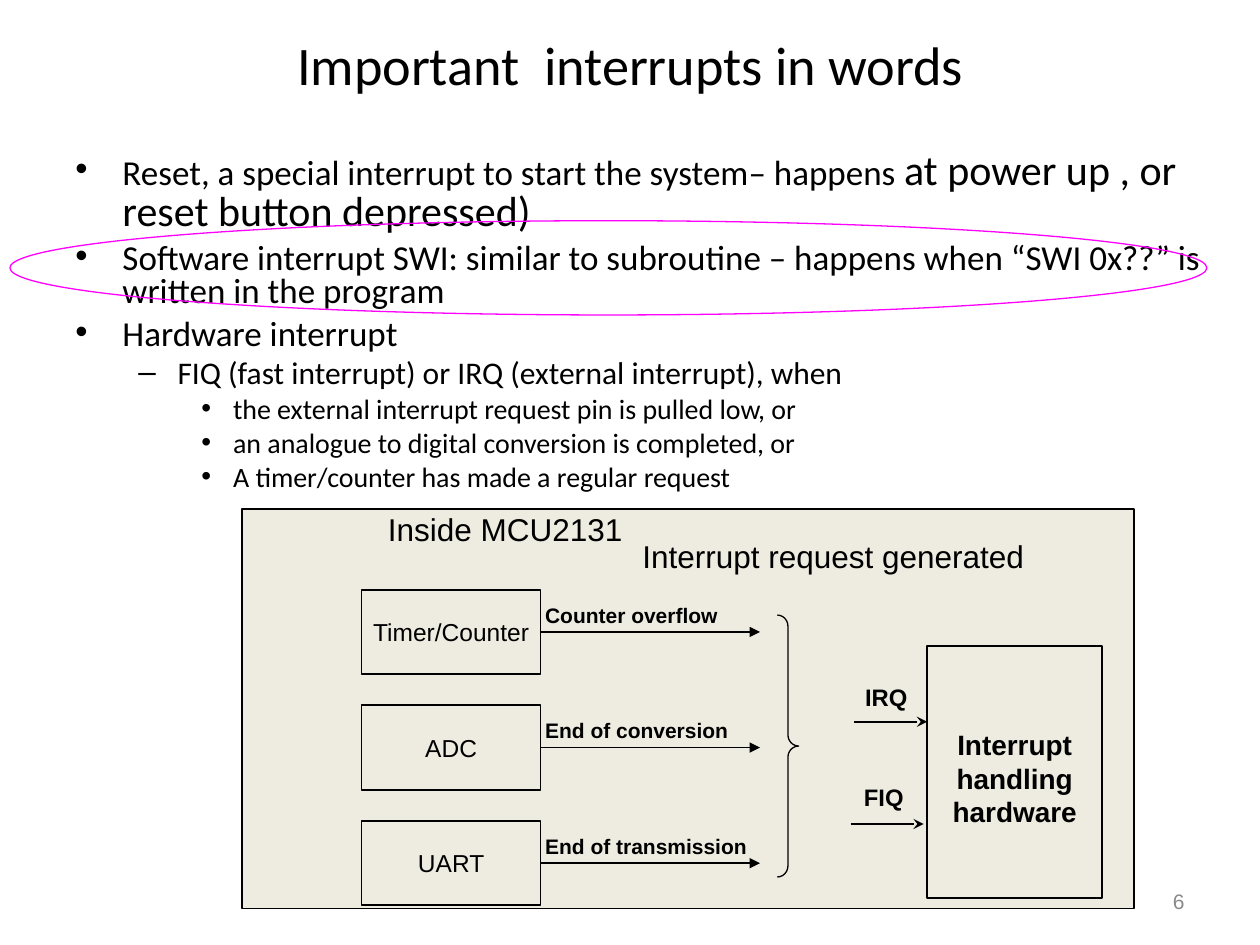
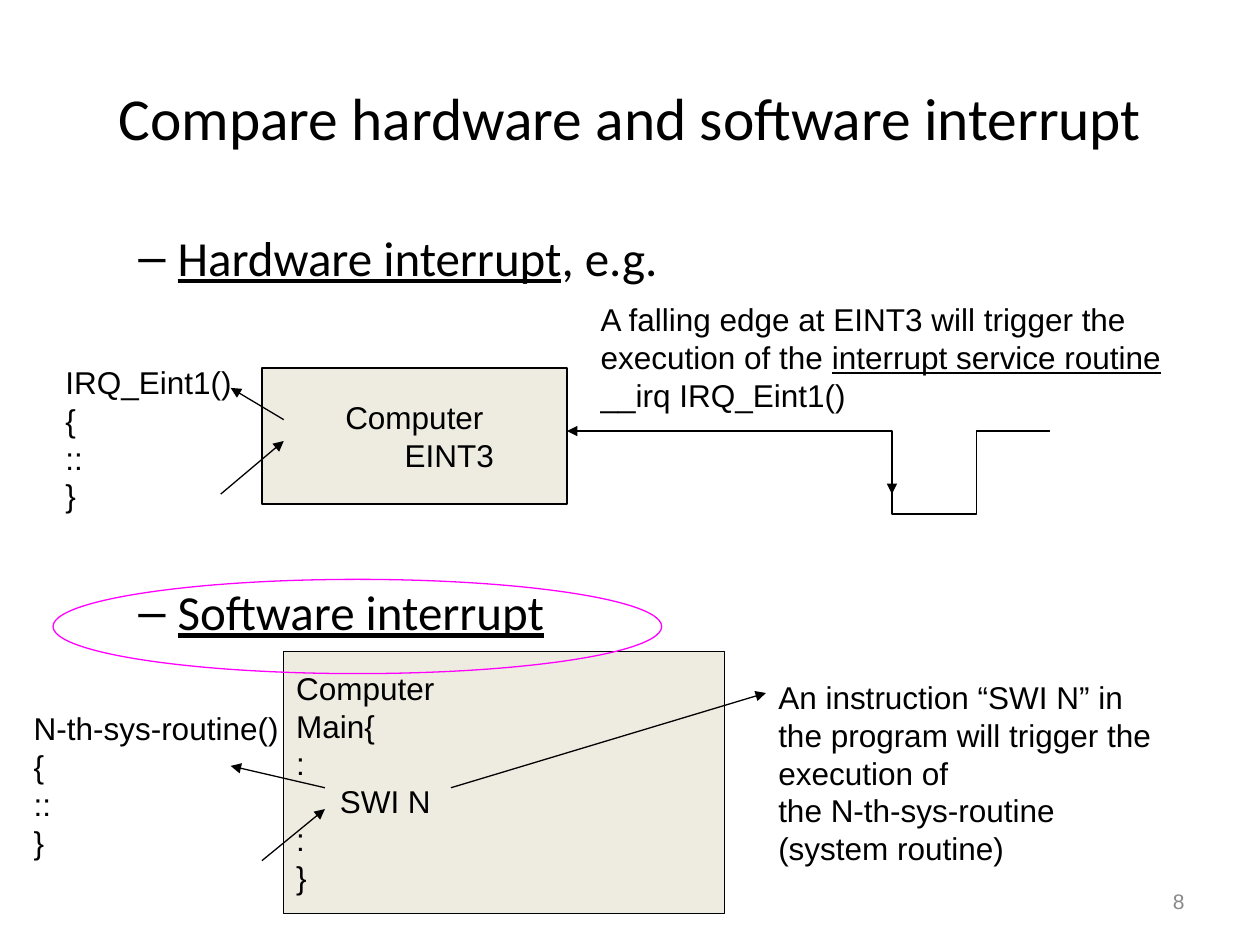
from lxml.etree import SubElement
from pptx import Presentation
from pptx.dml.color import RGBColor
from pptx.enum.shapes import MSO_CONNECTOR, MSO_SHAPE as SHAPE
from pptx.enum.text import MSO_ANCHOR as ANCHOR, PP_ALIGN as ALIGN
from pptx.oxml.ns import qn
from pptx.util import Cm, Pt

BLACK, GREY, PANEL, MARK = "000000", "898989", "EEECE1", "FF00FF"
HEADING, LABEL = "Calibri", "Arial"

LEVELS = {
    0: dict(bullet="•", margin=0.95, hang=0.95, before=5),
    1: dict(bullet="–", margin=2.06, hang=0.79, before=4.5),
    2: dict(bullet="•", margin=3.18, hang=0.64, before=4),
}

WORDS_TITLE = "Important  interrupts in words"
WORDS = [
    (0, 20, ["Reset, a special interrupt to start the system– happens ",
             ("at power up , or reset button depressed)", dict(size=24))]),
    (0, 20, "Software interrupt SWI: similar to subroutine – happens when "
            "“SWI 0x??” is written in the program"),
    (0, 20, "Hardware interrupt"),
    (1, 18, "FIQ (fast interrupt) or IRQ (external interrupt), when"),
    (2, 16, "the external interrupt request pin is pulled low, or"),
    (2, 16, "an analogue to digital conversion is completed, or"),
    (2, 16, "A timer/counter has made a regular request"),
]
SOURCES = [
    ("Timer/Counter", "Counter overflow"),
    ("ADC", "End of conversion"),
    ("UART", "End of transmission"),
]
REQUESTS = [
    ("IRQ", (16.99, 13.69), (17.22, 14.55)),
    ("FIQ", (16.94, 15.72), (17.15, 16.61)),
]
CAPTIONS = [
    ("Inside MCU2131", (7.57, 10.16, 5.6, 1.02)),
    ("Interrupt request generated", (12.7, 10.69, 8.5, 1.02)),
]

COMPARE_TITLE = "Compare hardware and software interrupt"
UNDERLINE = dict(underline=True)
KINDS = [
    [("Hardware interrupt", UNDERLINE), ", e.g."],
    [("Software interrupt", UNDERLINE)],
]
MAIN_CODE = ["Computer", "Main{", ":", "     SWI N", ":", "}"]
NOTES = [
    (["IRQ_Eint1()", "{", "::", "}"], (1.07, 7.19, 4.1, 4.06)),
    (["A falling edge at EINT3 will trigger the",
      ["execution of the ", ("interrupt service routine", UNDERLINE)],
      "__irq IRQ_Eint1()"], (11.86, 5.92, 12.4, 3.3)),
    (["N-th-sys-routine()", "{", "::", "}"], (0.43, 14.17, 5.7, 4.06)),
    (["An instruction “SWI N” in", "the program will trigger the",
      "execution of", "the N-th-sys-routine", "(system routine)"],
     (15.44, 13.54, 8.5, 4.83)),
]
PULSE = [(16.51, 8.69), (17.98, 8.69), (17.98, 10.36),
         (19.69, 10.36), (19.69, 8.69), (21.16, 8.69)]
ARROWS = [
    (16.51, 8.69, 11.43, 8.69),
    (17.98, 9.09, 17.98, 9.96),
    (5.72, 8.46, 4.65, 7.82),
    (4.45, 9.96, 5.72, 8.89),
    (9.09, 15.88, 15.44, 13.97),
    (6.55, 15.88, 4.65, 15.44),
    (5.28, 17.35, 6.55, 16.31),
]


def rgb(color):
    return RGBColor.from_string(color)


def put_text(tf, paragraphs, size=18, font=LABEL, color=BLACK, bold=False,
             align=ALIGN.LEFT, anchor=ANCHOR.TOP, spacing=None,
             insets=(0.25, 0.13, 0.25, 0.13)):
    tf.word_wrap, tf.vertical_anchor = True, anchor
    tf.margin_left, tf.margin_top, tf.margin_right, tf.margin_bottom = map(Cm, insets)
    for i, runs in enumerate(paragraphs):
        p = tf.add_paragraph() if i else tf.paragraphs[0]
        p.alignment = align
        if spacing:
            p.line_spacing = spacing
        for run in [runs] if isinstance(runs, str) else runs:
            text, fmt = (run, {}) if isinstance(run, str) else run
            r = p.add_run()
            r.text = text
            r.font.name, r.font.bold = font, bold
            r.font.size = Pt(fmt.get("size", size))
            r.font.underline = fmt.get("underline", False)
            r.font.color.rgb = rgb(color)
    return tf


def add_text(slide, box, paragraphs, **fmt):
    sp = slide.shapes.add_textbox(*map(Cm, box))
    return put_text(sp.text_frame, paragraphs, **fmt)


def set_bullet(p, bullet, margin, hang, before):
    pPr = p._p.get_or_add_pPr()
    pPr.set("marL", str(Cm(margin)))
    pPr.set("indent", str(-Cm(hang)))
    SubElement(SubElement(pPr, qn("a:buClr")), qn("a:srgbClr"), val=BLACK)
    SubElement(pPr, qn("a:buFont"), typeface=LABEL)
    SubElement(pPr, qn("a:buChar"), char=bullet)
    if before:
        p.space_before = Pt(before)


def style(sp, fill=None, line=BLACK, width=0.75):
    sp.shadow.inherit = False
    if fill:
        sp.fill.solid()
        sp.fill.fore_color.rgb = rgb(fill)
    else:
        sp.fill.background()
    sp.line.color.rgb = rgb(line)
    sp.line.width = Pt(width)
    return sp


def add_box(slide, box, kind=SHAPE.RECTANGLE, **look):
    return style(slide.shapes.add_shape(kind, *map(Cm, box)), **look)


def add_arrow(slide, x1, y1, x2, y2, head="triangle", width=0.75):
    line = slide.shapes.add_connector(MSO_CONNECTOR.STRAIGHT, *map(Cm, (x1, y1, x2, y2)))
    line.line.color.rgb = rgb(BLACK)
    line.line.width = Pt(width)
    SubElement(line.line._get_or_add_ln(), qn("a:tailEnd"), type=head)
    SubElement(line._element.spPr, qn("a:effectLst"))
    return line


def add_slide(prs, title, height, size, number):
    slide = prs.slides.add_slide(prs.slide_layouts[6])
    add_text(slide, (1.27, 0.76, 22.86, height), [title], size=size, font=HEADING,
             align=ALIGN.CENTER, anchor=ANCHOR.MIDDLE)
    add_text(slide, (18.21, 17.65, 5.92, 1.02), [str(number)], size=12, color=GREY,
             align=ALIGN.RIGHT, anchor=ANCHOR.MIDDLE)
    return slide


def build_words(prs):
    slide = add_slide(prs, WORDS_TITLE, 1.07, 31, 6)
    paragraphs = [[(run, dict(size=size)) if isinstance(run, str) else run
                   for run in ([runs] if isinstance(runs, str) else runs)]
                  for _, size, runs in WORDS]
    tf = add_text(slide, (1.27, 2.97, 24.13, 10.8), paragraphs, font=HEADING, spacing=0.8)
    for i, (p, (level, _, _)) in enumerate(zip(tf.paragraphs, WORDS)):
        look = LEVELS[level]
        set_bullet(p, **{**look, "before": look["before"] if i else 0})

    add_box(slide, (4.88, 10.26, 17.98, 8.05), fill=PANEL)
    handler = add_box(slide, (18.69, 13.03, 3.53, 5.08), width=1)
    put_text(handler.text_frame, ["Interrupt handling hardware"], size=16, bold=True,
             align=ALIGN.CENTER, insets=(0.05, 1.64, 0.05, 0))
    for name, (left, top), (x, y) in REQUESTS:
        add_arrow(slide, x, y, x + 1.47, y, head="stealth", width=1)
        add_text(slide, (left, top, 1.75, 0.89), [name], size=13.6, bold=True,
                 align=ALIGN.CENTER, spacing=0.9)

    left, width, height = 7.29, 3.61, 1.7
    for i, (source, event) in enumerate(SOURCES):
        top = 11.89 + i * 2.33
        middle = top + height / 2
        sp = add_box(slide, (left, top, width, height), width=1)
        put_text(sp.text_frame, [source], size=14, align=ALIGN.CENTER,
                 anchor=ANCHOR.MIDDLE, insets=(0, 0, 0, 0))
        add_arrow(slide, left + width, middle, 15.32, middle, width=1).begin_connect(sp, 3)
        add_text(slide, (10.74, top + 0.28, 4.8, 0.56), [event], size=12, bold=True,
                 spacing=0.65)
    for caption, box in CAPTIONS:
        add_text(slide, box, [caption])
    brace = add_box(slide, (15.67, 12.4, 0.43, 5.28), SHAPE.RIGHT_BRACE)
    brace.adjustments[0] = 0.52
    add_box(slide, (0.2, 4.45, 24.13, 1.9), SHAPE.OVAL, line=MARK)


def build_compare(prs):
    slide = add_slide(prs, COMPARE_TITLE, 3.18, 34, 8)
    tf = add_text(slide, (1.27, 4.45, 22.86, 12.57), KINDS, size=28, font=HEADING)
    for p, before in zip(tf.paragraphs, (0, 169)):
        set_bullet(p, **{**LEVELS[1], "before": before})

    computer = add_box(slide, (5.28, 7.42, 6.15, 2.74), fill=PANEL)
    tf = put_text(computer.text_frame, ["Computer", "EINT3"], align=ALIGN.CENTER,
                  anchor=ANCHOR.MIDDLE)
    tf.paragraphs[1]._p.get_or_add_pPr().set("marL", str(Cm(1.41)))
    program = add_box(slide, (5.72, 13.13, 8.89, 5.28), fill=PANEL)
    put_text(program.text_frame, MAIN_CODE, anchor=ANCHOR.MIDDLE)

    start, *rest = [(Cm(x), Cm(y)) for x, y in PULSE]
    pulse = slide.shapes.build_freeform(*start)
    pulse.add_line_segments(rest, close=False)
    style(pulse.convert_to_shape())
    for lines, box in NOTES:
        add_text(slide, box, lines)
    for ends in ARROWS:
        add_arrow(slide, *ends)
    add_box(slide, (1.07, 11.68, 12.27, 1.9), SHAPE.OVAL, line=MARK)


def main():
    prs = Presentation()
    prs.slide_width, prs.slide_height = Cm(25.4), Cm(19.05)
    build_words(prs)
    build_compare(prs)
    prs.save("out.pptx")


if __name__ == "__main__":
    main()
